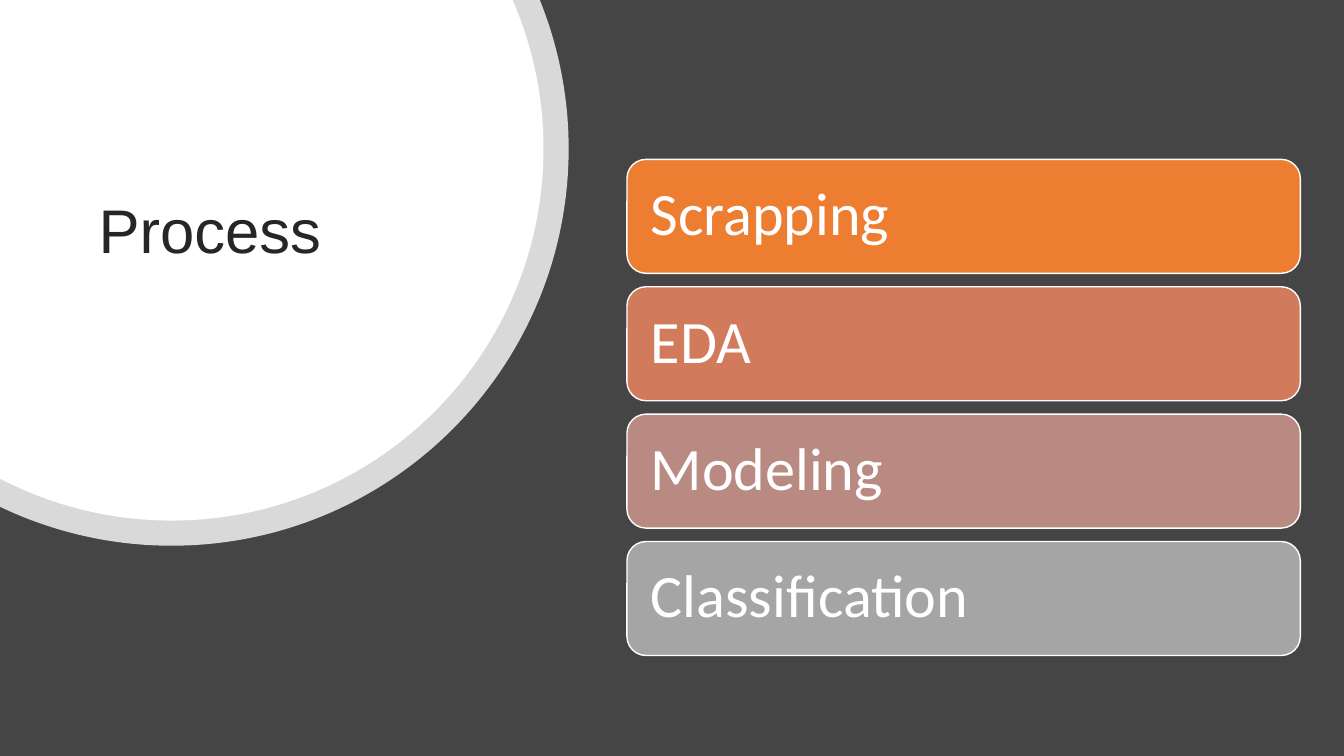
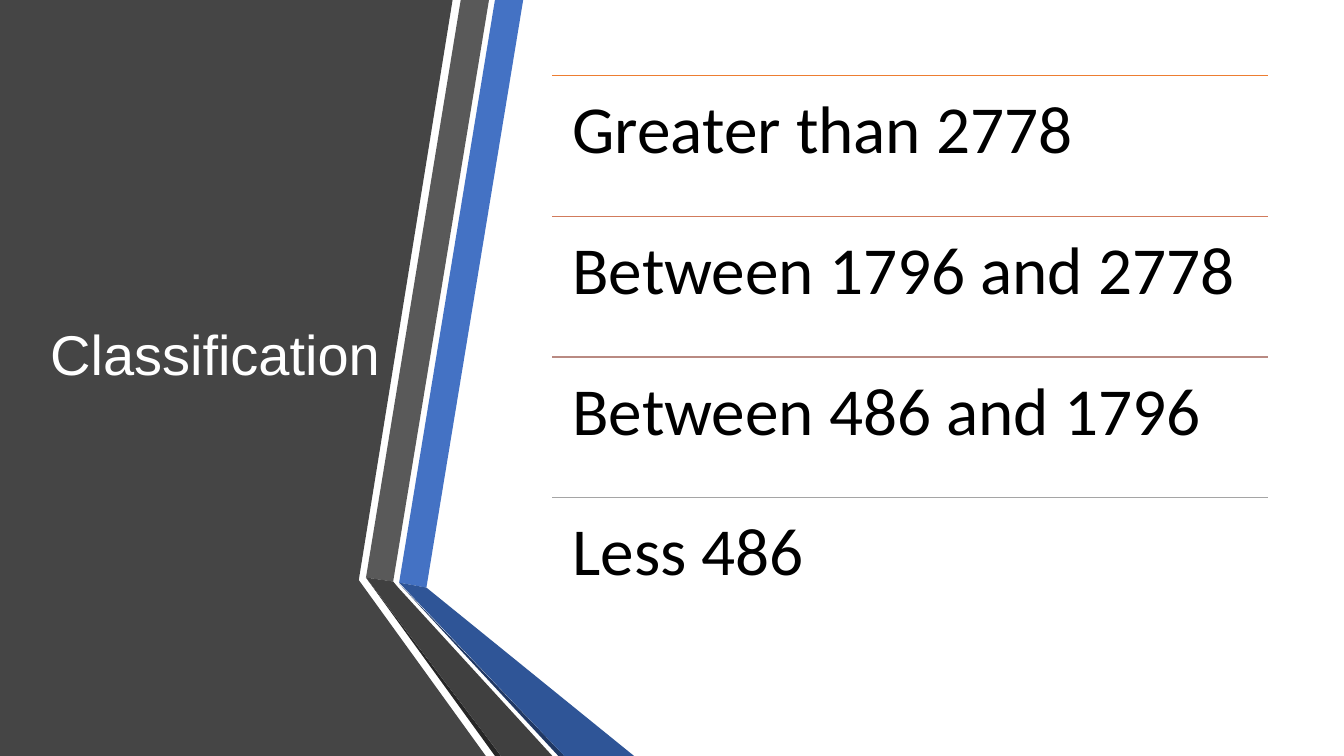
"""Build a process slide and a classification slide."""
import math
from dataclasses import dataclass
from itertools import pairwise

from lxml import etree
from pptx import Presentation
from pptx.dml.color import RGBColor
from pptx.enum.shapes import MSO_CONNECTOR, MSO_SHAPE
from pptx.enum.text import MSO_ANCHOR, PP_ALIGN
from pptx.oxml.ns import qn
from pptx.util import Inches, Pt

ROUND = MSO_SHAPE.ROUNDED_RECTANGLE
STRAIGHT = MSO_CONNECTOR.STRAIGHT
TOP, MIDDLE = MSO_ANCHOR.TOP, MSO_ANCHOR.MIDDLE
LEFT = PP_ALIGN.LEFT
W, H = Inches(13.333), Inches(7.5)


@dataclass(frozen=True)
class Theme:
    """Colours, fonts and type sizes of the deck."""
    dark: str = "454545"
    white: str = "FFFFFF"
    black: str = "000000"
    ink: str = "262626"
    steps: tuple = ("ED7D31", "D17B5C", "B98A82", "A5A5A5")
    blue: str = "4472C4"
    blue_fold: str = "2F5597"
    blue_edge: str = "203864"
    grey: str = "595959"
    grey_fold: str = "404040"
    title_font: str = "Arial"
    body_font: str = "Calibri"
    title_size: int = 44
    side_title_size: int = 40
    card_size: int = 43
    row_size: int = 48


T = Theme()

PANEL = [(0, 0), (33.68, 0), (26.7, 76.73), (36.15, 100), (0, 100)]
RIBBONS = [
    (T.blue, [(29.7, 77.07), (31.73, 77.73), (38.93, 0), (36.83, 0)]),
    (T.grey, [(36.38, 0), (34.28, 0), (27.23, 76.4), (29.25, 76.93)]),
    (T.ink, [(27.23, 76.4), (36.83, 100), (37.28, 100)]),
    (T.blue_edge, [(29.7, 77.2), (41.55, 100), (42, 100)]),
    (T.blue_fold, [(29.7, 77.07), (42, 100), (47.18, 100), (31.73, 77.73)]),
    (T.grey_fold, [(27.23, 76.4), (37.28, 100), (41.1, 100),
                   (29.63, 77.73), (29.25, 76.93)]),
]


def rgb(value):
    """Turn a hex string into a colour."""
    return RGBColor.from_string(value)


def place(x, y):
    """Turn percentages of the slide's width and height into lengths."""
    return round(W * x / 100), round(H * y / 100)


def apply(obj, values):
    """Set each attribute named in a dict."""
    for name, value in values.items():
        setattr(obj, name, value)


def paint(fill, color):
    """Fill with one solid colour."""
    fill.solid()
    fill.fore_color.rgb = rgb(color)


def write(sp, text, font, size, color, anchor, inset=(0.1, 0.05)):
    """Put one left-aligned paragraph in a shape."""
    tf = sp.text_frame
    side, edge = map(Inches, inset)
    apply(tf, {"word_wrap": True, "vertical_anchor": anchor,
               "margin_left": side, "margin_right": side,
               "margin_top": edge, "margin_bottom": edge})
    p = tf.paragraphs[0]
    apply(p, {"alignment": LEFT, "line_spacing": 0.9})
    r = p.add_run()
    r.text = text
    apply(r.font, {"name": font, "size": Pt(size)})
    r.font.color.rgb = rgb(color)


def add_text(s, box, *args, **kwargs):
    """Add a text box at a box given in percentages."""
    x, y, w, h = box
    sp = s.shapes.add_textbox(*place(x, y), *place(w, h))
    write(sp, *args, **kwargs)


def add_polygon(s, points, color):
    """Add a filled outline through points given in percentages."""
    start, *rest = [place(x, y) for x, y in points]
    builder = s.shapes.build_freeform(*start)
    builder.add_line_segments(rest, close=True)
    sp = builder.convert_to_shape()
    sp.shadow.inherit = False
    sp.line.fill.background()
    paint(sp.fill, color)
    return sp


def bend(sp, first):
    """Turn each three line segments from the first on into one curve."""
    lines = list(sp._element.iter(qn("a:lnTo")))[first:]
    for i in range(0, len(lines), 3):
        curve = etree.Element(qn("a:cubicBezTo"))
        lines[i].addprevious(curve)
        for line in lines[i:i + 3]:
            curve.append(line[0])
            line.getparent().remove(line)


def arc_controls(start, end):
    """Give the control and end points of one arc of a unit circle."""
    k = 4 / 3 * math.tan((end - start) / 4)
    c0, s0, c1, s1 = (math.cos(start), math.sin(start),
                      math.cos(end), math.sin(end))
    return [(c0 - k * s0, s0 + k * c0), (c1 + k * s1, s1 - k * c1), (c1, s1)]


def add_corner_disc(s, radius, alpha=None):
    """Add a disc cut off by the top and left edges of the slide."""
    cx, cy = 12.76, 19.65
    ry = radius * W / H
    first = -math.asin(cy / ry)
    last = math.pi - math.acos(cx / radius)
    unit = [(math.cos(first), math.sin(first))]
    for start, end in pairwise([first, 0, math.pi / 2, last]):
        unit += arc_controls(start, end)
    arc = [(cx + radius * x, cy + ry * y) for x, y in unit]
    sp = add_polygon(s, [(0, 0), *arc], T.white)
    bend(sp, 1)
    if alpha is not None:
        clr = next(sp._element.spPr.iter(qn("a:srgbClr")))
        etree.SubElement(clr, qn("a:alpha"), val=str(alpha * 1000))


def add_card(s, index, text):
    """Add one rounded step card."""
    sp = s.shapes.add_shape(ROUND, *place(46.65, 21.08 + 16.85 * index),
                            *place(50.1, 15.07))
    sp.shadow.inherit = False
    paint(sp.fill, T.steps[index])
    paint(sp.line.fill, T.white)
    sp.line.width = Pt(1)
    write(sp, text, T.body_font, T.card_size, T.white, MIDDLE, (0.18, 0.18))


def add_row(s, index, text):
    """Add one ruled text row."""
    x, w, h = 41.1, 53.25, 18.6
    y = 10.02 + h * index
    ln = s.shapes.add_connector(STRAIGHT, *place(x, y), *place(x + w, y))
    paint(ln.line.fill, T.steps[index])
    ln.line.width = Pt(1)
    etree.SubElement(ln._element.spPr, qn("a:effectLst"))
    add_text(s, (x, y, w, h), text, T.body_font, T.row_size, T.black, TOP,
             inset=(0.2, 0.2))


def add_slide(prs, color):
    """Add a blank slide with a plain background."""
    s = prs.slides.add_slide(prs.slide_layouts[6])
    paint(s.background.fill, color)
    return s


def add_process(prs):
    """Build the process slide."""
    s = add_slide(prs, T.dark)
    add_corner_disc(s, 29.55, alpha=80)
    add_corner_disc(s, 27.68)
    add_text(s, (6.6, 8.8, 26.4, 44.27), "Process", T.title_font,
             T.title_size, T.ink, MIDDLE)
    for i, text in enumerate(["Scrapping", "EDA", "Modeling",
                              "Classification"]):
        add_card(s, i, text)


def add_classification(prs):
    """Build the classification slide."""
    s = add_slide(prs, T.white)
    add_polygon(s, PANEL, T.dark)
    for color, points in RIBBONS:
        add_polygon(s, points, color)
    add_text(s, (3, 10, 30.6, 74.5), "Classification", T.title_font,
             T.side_title_size, T.white, MIDDLE)
    for i, text in enumerate(["Greater than 2778", "Between 1796 and 2778",
                              "Between 486 and 1796", "Less 486"]):
        add_row(s, i, text)


def main():
    """Build and save the deck."""
    prs = Presentation()
    apply(prs, {"slide_width": W, "slide_height": H})
    add_process(prs)
    add_classification(prs)
    prs.save("out.pptx")


if __name__ == "__main__":
    main()
